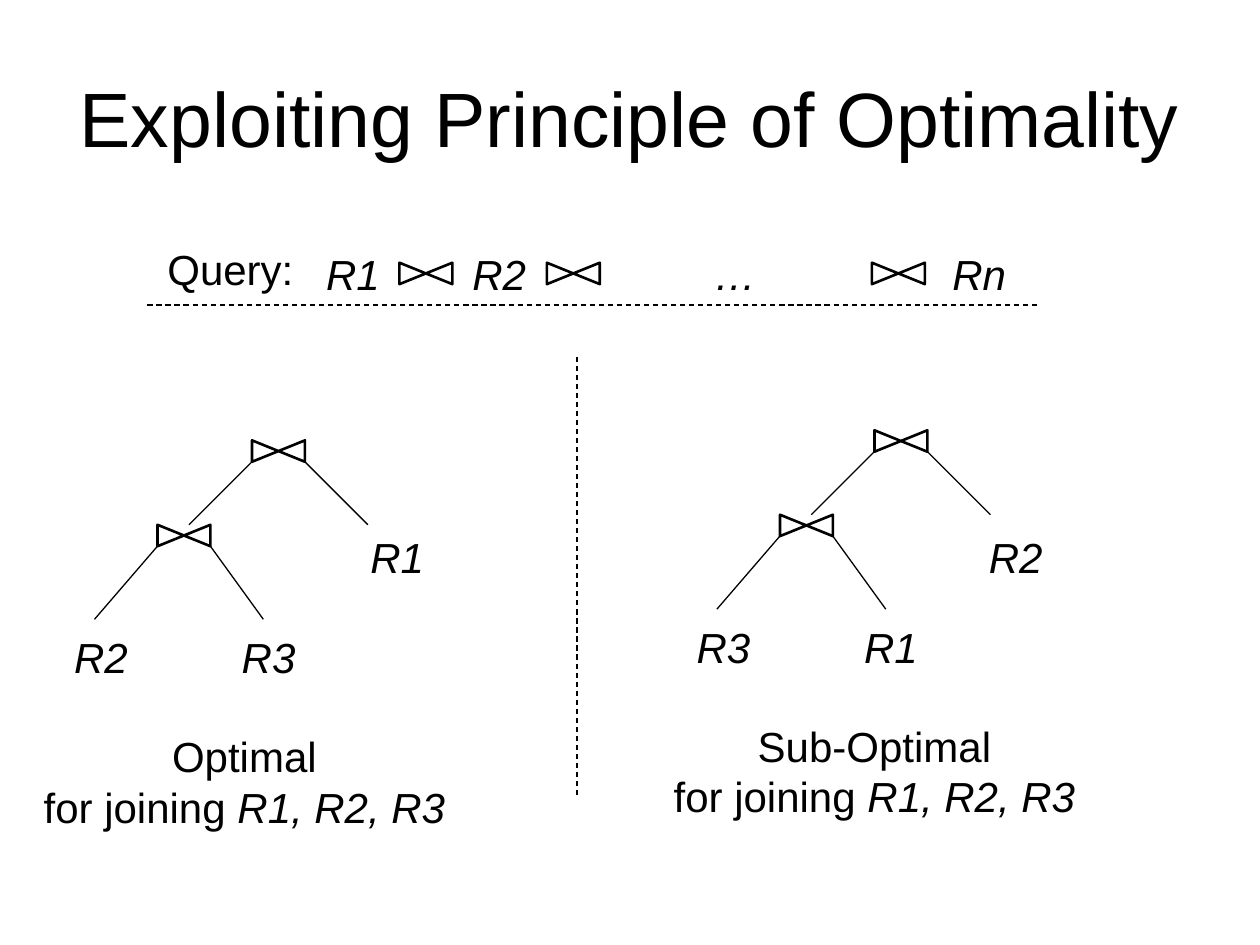
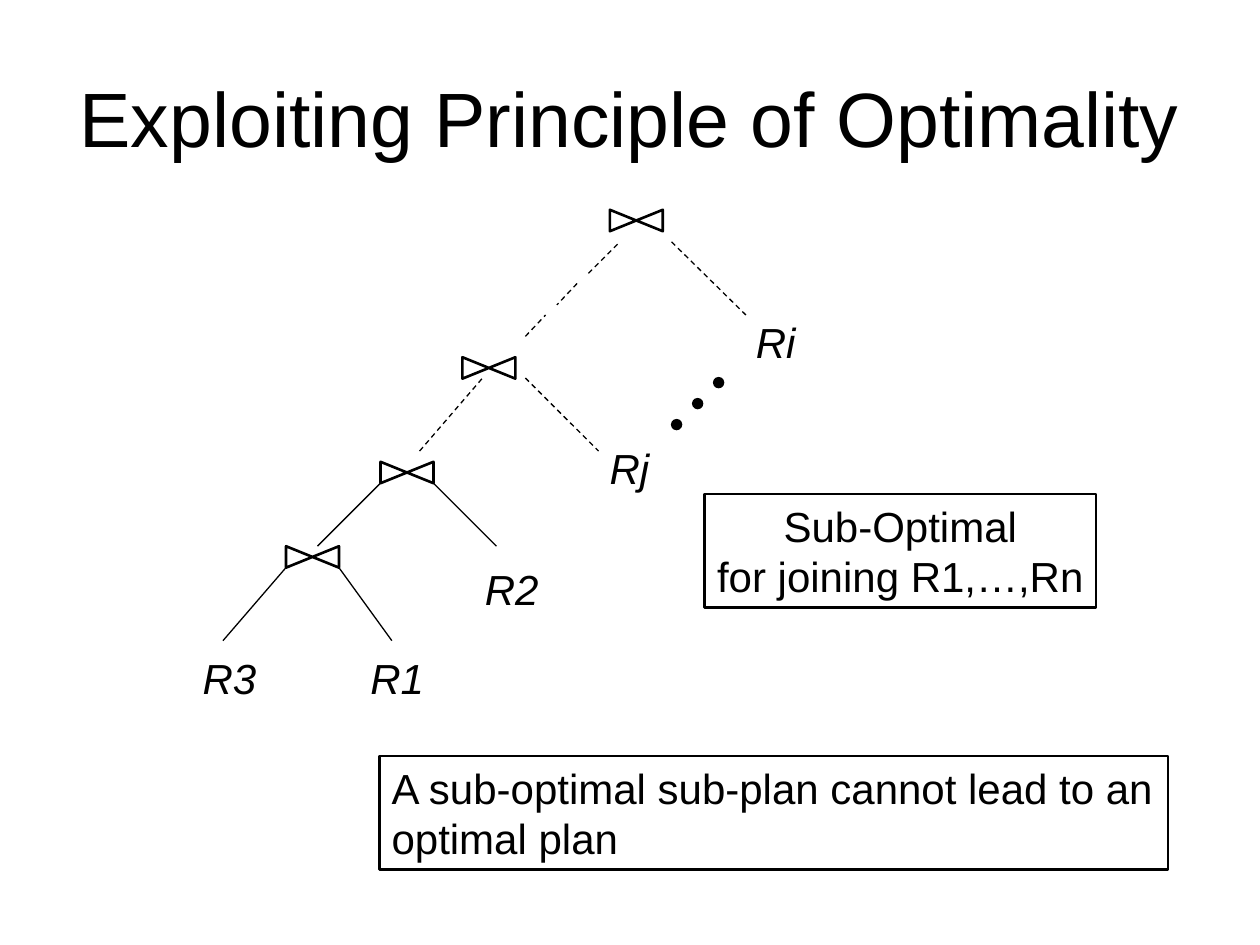
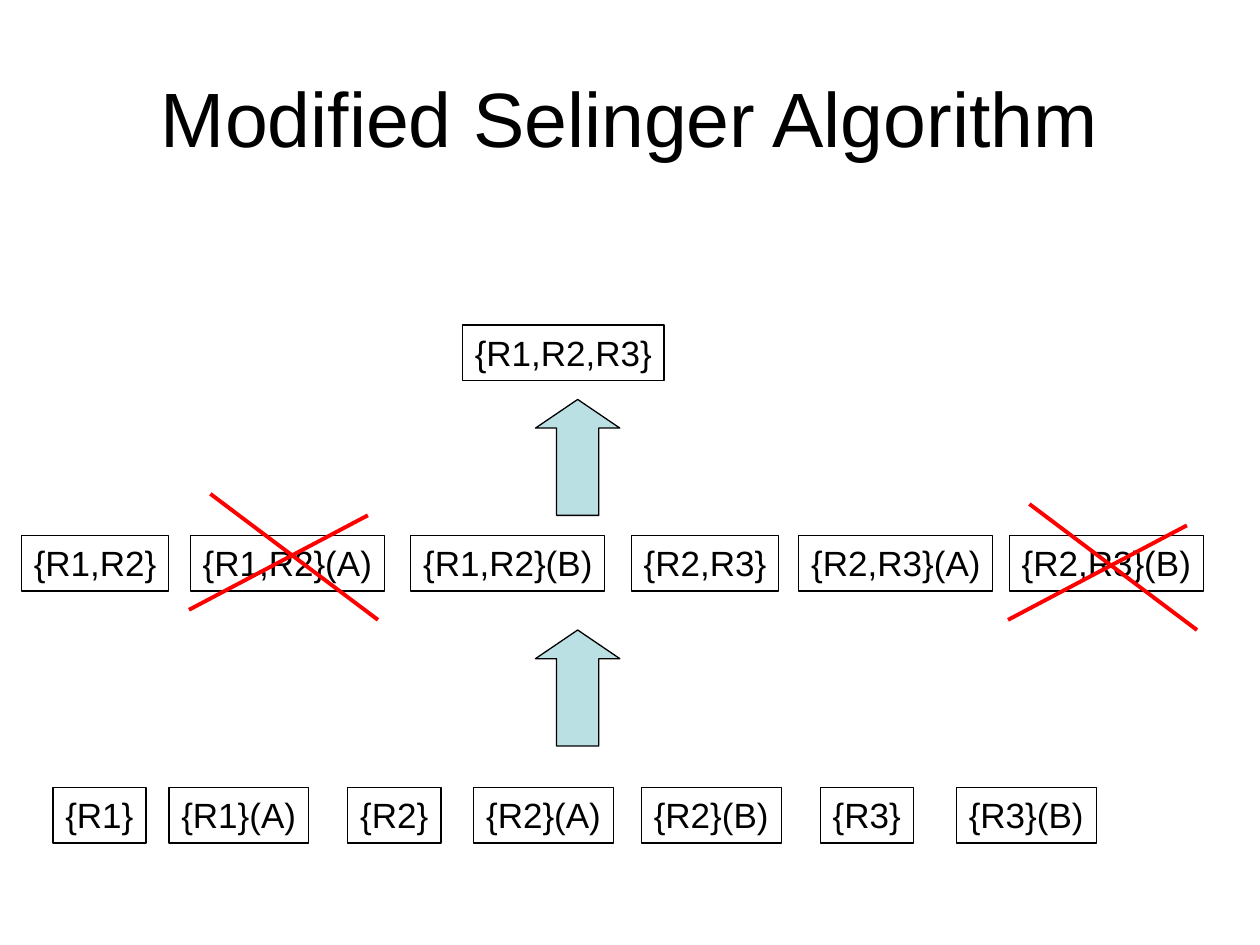
from dataclasses import dataclass
from typing import NamedTuple

from lxml import etree
from pptx import Presentation
from pptx.dml.color import RGBColor
from pptx.enum.dml import MSO_LINE
from pptx.enum.shapes import MSO_CONNECTOR, MSO_SHAPE
from pptx.enum.text import MSO_ANCHOR, MSO_AUTO_SIZE, PP_ALIGN
from pptx.oxml.ns import qn
from pptx.presentation import Presentation as Deck
from pptx.shapes.base import BaseShape
from pptx.slide import Slide
from pptx.text.text import TextFrame
from pptx.util import Inches, Pt

STRAIGHT = MSO_CONNECTOR.STRAIGHT
COLLATE, UP_ARROW, OVAL = MSO_SHAPE.FLOWCHART_COLLATE, MSO_SHAPE.UP_ARROW, MSO_SHAPE.OVAL
LEFT, CENTER = PP_ALIGN.LEFT, PP_ALIGN.CENTER
TOP, MIDDLE = MSO_ANCHOR.TOP, MSO_ANCHOR.MIDDLE
NO_AUTOFIT = MSO_AUTO_SIZE.NONE
DASH = MSO_LINE.DASH
TITLE_ONLY = 5


@dataclass(frozen=True)
class Theme:
    font: str = "Arial"
    ink: RGBColor = RGBColor(0, 0, 0)
    paper: RGBColor = RGBColor(255, 255, 255)
    arrow: RGBColor = RGBColor(0xBB, 0xE0, 0xE3)
    strike: RGBColor = RGBColor(255, 0, 0)
    title_size: float = 44
    body_size: float = 24
    plan_size: float = 20
    thin: float = 0.75
    medium: float = 1.5
    thick: float = 2.25


THEME = Theme()


class Point(NamedTuple):
    x: float
    y: float

    def shifted(self, dx: float, dy: float) -> "Point":
        return Point(self.x + dx, self.y + dy)


class Area(NamedTuple):
    left: float
    top: float
    width: float
    height: float

    def lengths(self) -> list[Inches]:
        return [Inches(value) for value in self]


class JoinTree(NamedTuple):
    """Two joins: the root joins the lower join with the outer relation."""
    root: Point
    inner: tuple[str, str]
    outer: str
    outer_corner: Point


class PlanRow(NamedTuple):
    top: float
    plans: dict[str, float]  # plan label -> left edge


JOIN_WIDTH, JOIN_HEIGHT = 0.42, 0.17
LABEL_HEIGHT = 0.5

JOIN_TREES = [
    JoinTree(Point(2.21, 3.58), ("R2", "R3"), "R1", Point(2.84, 4.17)),
    JoinTree(Point(7.15, 3.5), ("R3", "R1"), "R2", Point(7.75, 4.17)),
]
SUBPLAN_TREE = JoinTree(Point(3.23, 3.75), ("R3", "R1"), "R2", Point(3.75, 4.42))

PLAN_ROWS = [
    PlanRow(6.25, {"{R1}": 0.42, "{R1}(A)": 1.34, "{R2}": 2.76, "{R2}(A)": 3.76,
                   "{R2}(B)": 5.09, "{R3}": 6.51, "{R3}(B)": 7.59}),
    PlanRow(4.25, {"{R1,R2}": 0.17, "{R1,R2}(A)": 1.51, "{R1,R2}(B)": 3.26,
                   "{R2,R3}": 5.01, "{R2,R3}(A)": 6.34, "{R2,R3}(B)": 8.01}),
    PlanRow(2.58, {"{R1,R2,R3}": 3.67}),
]


def write_text(frame: TextFrame, text: str, *, size: float = THEME.body_size,
               align: PP_ALIGN = LEFT, anchor: MSO_ANCHOR = TOP, wrap: bool = False,
               italic: bool = False, italic_tail: str = "",
               tabs: tuple[float, ...] = ()) -> None:
    """Each list entry of text split at a form feed is a paragraph; a newline breaks a line."""
    frame.word_wrap = wrap
    frame.auto_size = NO_AUTOFIT
    frame.vertical_anchor = anchor
    for index, content in enumerate(text.split("\f")):
        para = frame.paragraphs[0] if index == 0 else frame.add_paragraph()
        para.text = content
        para.alignment = align
        if tabs:
            stops = etree.SubElement(para._p.get_or_add_pPr(), qn("a:tabLst"))
            for stop in tabs:
                etree.SubElement(stops, qn("a:tab"), pos=str(Inches(stop)), algn="l")
        if italic_tail:
            para.add_run().text = italic_tail
        for span in para.runs:
            span.font.name = THEME.font
            span.font.size = Pt(size)
            span.font.color.rgb = THEME.ink
            span.font.italic = italic or (bool(italic_tail) and span.text == italic_tail)


def add_text(page: Slide, area: Area, text: str, *, border: float = 0, **text_format) -> None:
    box = page.shapes.add_textbox(*area.lengths())
    if border:
        box.line.color.rgb = THEME.ink
        box.line.width = Pt(border)
    write_text(box.text_frame, text, **text_format)


def add_relation(page: Slide, corner: Point, name: str, width: float = 0.62) -> None:
    add_text(page, Area(*corner, width, LABEL_HEIGHT), name, italic=True)


def add_line(page: Slide, start: Point, end: Point, *, color: RGBColor = THEME.ink,
             width: float = THEME.thin, dashed: bool = False) -> None:
    line = page.shapes.add_connector(STRAIGHT, *(Inches(value) for value in (*start, *end)))
    line.line.color.rgb = color
    line.line.width = Pt(width)
    if dashed:
        line.line.dash_style = DASH
    etree.SubElement(line._element.spPr, qn("a:effectLst"))


def add_figure(page: Slide, kind: MSO_SHAPE, area: Area, fill: RGBColor,
               line_width: float = THEME.thin) -> BaseShape:
    figure = page.shapes.add_shape(kind, *area.lengths())
    figure.shadow.inherit = False
    figure.fill.solid()
    figure.fill.fore_color.rgb = fill
    figure.line.color.rgb = THEME.ink
    figure.line.width = Pt(line_width)
    return figure


def add_join(page: Slide, center: Point) -> None:
    """Draw the bow-tie join symbol: an hourglass turned on its side."""
    area = Area(center.x - JOIN_HEIGHT / 2, center.y - JOIN_WIDTH / 2, JOIN_HEIGHT, JOIN_WIDTH)
    add_figure(page, COLLATE, area, THEME.paper, THEME.medium).rotation = 270


def add_branches(page: Slide, join: Point, left_run: float, right_run: float,
                 drop: float) -> None:
    for side, run in ((-1, left_run), (1, right_run)):
        corner = join.shifted(side * JOIN_WIDTH / 2, JOIN_HEIGHT / 2)
        add_line(page, corner, corner.shifted(side * run, drop))


def add_join_tree(page: Slide, tree: JoinTree) -> None:
    lower = tree.root.shifted(-0.75, 0.67)
    add_join(page, lower)
    add_join(page, tree.root)
    add_branches(page, lower, 0.5, 0.42, 0.58)
    add_branches(page, tree.root, 0.5, 0.5, 0.5)
    for index, name in enumerate(tree.inner):
        add_relation(page, tree.root.shifted(-1.72 + 1.33 * index, 1.38), name)
    add_relation(page, tree.outer_corner, tree.outer)


def add_page(deck: Deck, title: str) -> Slide:
    page = deck.slides.add_slide(deck.slide_layouts[TITLE_ONLY])
    heading = page.shapes.title
    heading.left, heading.top, heading.width, heading.height = Area(0.5, 0.3, 9, 1.25).lengths()
    write_text(heading.text_frame, title, size=THEME.title_size, align=CENTER,
               anchor=MIDDLE, wrap=True)
    return page


def add_comparison_page(deck: Deck) -> None:
    page = add_page(deck, "Exploiting Principle of Optimality")
    add_text(page, Area(1.23, 1.88, 1.29, LABEL_HEIGHT), "Query:")
    add_text(page, Area(2.49, 1.92, 5.61, LABEL_HEIGHT), "R1\tR2\t…\tRn", italic=True,
             wrap=True, tabs=(1.16, 3.08, 4.97))
    for x in (3.38, 4.55, 7.13):
        add_join(page, Point(x, 2.17))
    add_line(page, Point(1.17, 2.42), Point(8.25, 2.42), dashed=True)
    add_line(page, Point(4.58, 2.83), Point(4.58, 6.33), dashed=True)
    for tree in JOIN_TREES:
        add_join_tree(page, tree)
    for corner, verdict in ((Point(0.25, 5.75), "Optimal"), (Point(5.25, 5.67), "Sub-Optimal")):
        add_text(page, Area(*corner, 3.38, 0.9), f"{verdict}\nfor joining ",
                 align=CENTER, italic_tail="R1, R2, R3")


def add_subplan_page(deck: Deck) -> None:
    page = add_page(deck, "Exploiting Principle of Optimality")
    add_join_tree(page, SUBPLAN_TREE)
    for center in (Point(3.88, 2.92), Point(5.05, 1.75)):
        add_join(page, center)
    dashes = [
        (Point(3.33, 3.58), Point(3.83, 3)),
        (Point(4.17, 3), Point(4.75, 3.58)),
        (Point(5.33, 1.92), Point(5.92, 2.5)),
        (Point(4.17, 2.67), Point(4.33, 2.5)),
        (Point(4.58, 2.25), Point(4.42, 2.42)),
        (Point(4.67, 2.17), Point(4.92, 1.92)),
    ]
    for start, end in dashes:
        add_line(page, start, end, dashed=True)
    add_relation(page, Point(5.9, 2.46), "Ri", 0.51)
    add_relation(page, Point(4.74, 3.46), "Rj", 0.51)
    for step in range(3):
        area = Area(5.33 + step / 6, 3.33 - step / 6, 0.08, 0.08)
        add_figure(page, OVAL, area, THEME.ink)
    add_text(page, Area(5.59, 3.92, 3.11, 0.9), "Sub-Optimal\nfor joining R1,…,Rn",
             border=THEME.medium, align=CENTER)
    add_text(page, Area(3.01, 6, 6.26, 0.9),
             "A sub-optimal sub-plan cannot lead to an\foptimal plan", border=THEME.medium)


def plan_width(plan: str) -> float:
    """Grow with the number of relations, and again for a sort order such as (A)."""
    return 0.31 + 0.43 * plan.count("R") + (0.37 if "(" in plan else 0)


def add_cross(page: Slide, left: float, top: float) -> None:
    corner = Point(left, top)
    strokes = (((0, 0.92), (1.42, 0.17)), ((0.17, 0), (1.5, 1)))
    for start, end in strokes:
        add_line(page, corner.shifted(*start), corner.shifted(*end),
                 color=THEME.strike, width=THEME.thick)


def add_selinger_page(deck: Deck) -> None:
    page = add_page(deck, "Modified Selinger Algorithm")
    for row in PLAN_ROWS:
        for plan, left in row.plans.items():
            add_text(page, Area(left, row.top, plan_width(plan), 0.44), plan,
                     size=THEME.plan_size, border=THEME.thin)
    for top in (3.17, 5):
        arrow = add_figure(page, UP_ARROW, Area(4.25, top, 0.67, 0.92), THEME.arrow)
        arrow.adjustments[1] = 0.34
    add_cross(page, 8, 4)
    add_cross(page, 1.5, 3.92)


def main() -> None:
    deck = Presentation()
    deck.slide_width, deck.slide_height = Inches(10), Inches(7.5)
    add_comparison_page(deck)
    add_subplan_page(deck)
    add_selinger_page(deck)
    deck.save("out.pptx")


if __name__ == "__main__":
    main()
